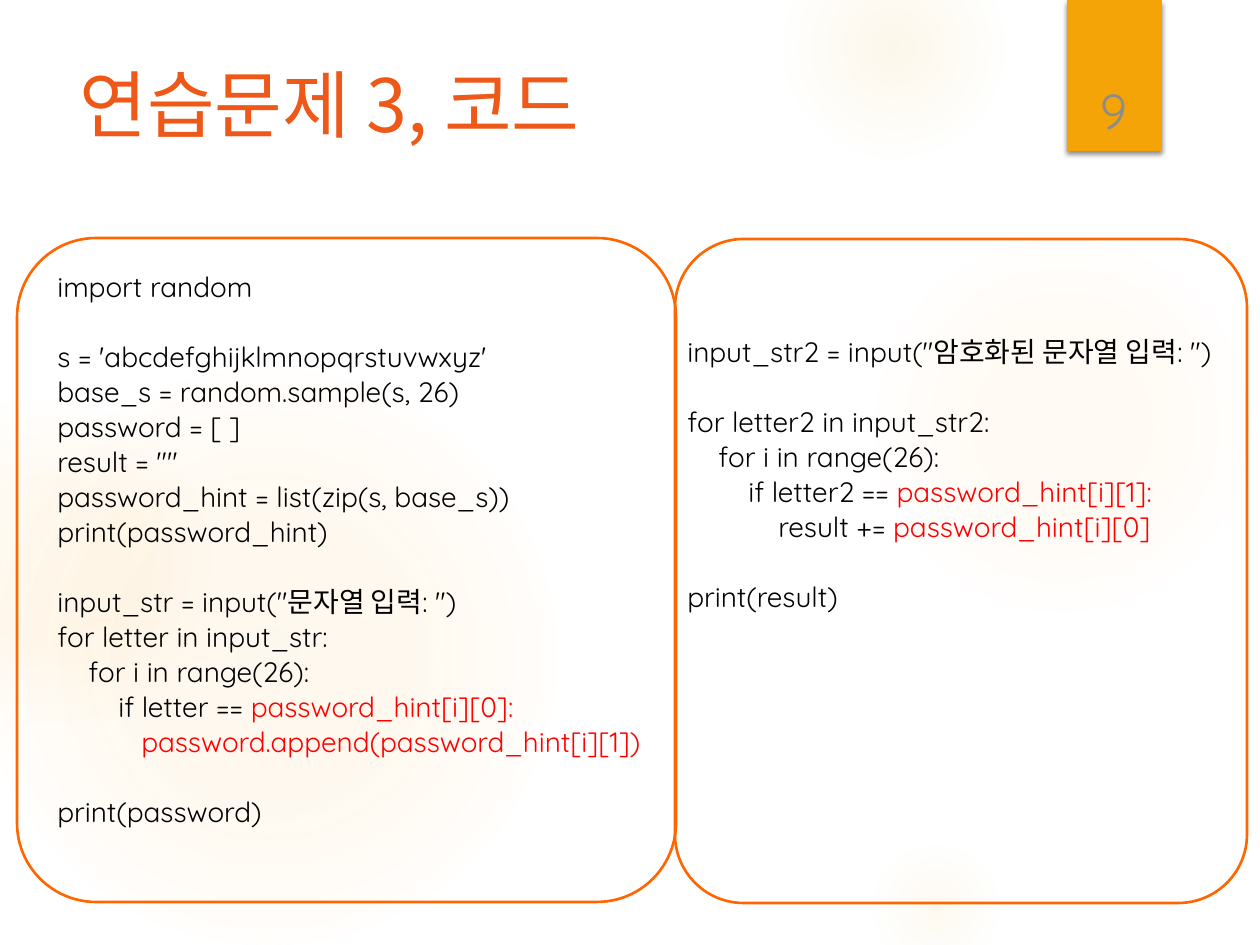
from lxml import etree
from pptx import Presentation
from pptx.dml.color import RGBColor
from pptx.enum import shapes, text
from pptx.oxml import ns
from pptx.util import Pt

PX = 914400 / 126
HUE = {"glow": "FAC96A", "tab": "F5A408", "title": "EE5818", "num": "8C8C8C",
       "frame": "FF6600", "code": "000000", "key": "FF0000"}
KOR, LAT = "Noto Sans CJK KR", "Quicksand"

# left, top, size, then (stop, alpha) pairs in percent
GLOWS = [
    (868, 231, 388, [(0, 7), (36, 6), (69, 0)]),
    (784, -63, 220, [(0, 14), (36, 7), (73, 0)]),
    (868, 840, 136, [(0, 10), (31, 5), (66, 0)]),
    (-21, 368, 577, [(0, 11), (36, 10), (75, 0)]),
    (-116, 399, 325, [(0, 8), (36, 8), (72, 0)]),
]

# blank line above, indent in px, plain part, marked part
ENCODE = [
    (0, 0, "import random", ""),
    (1, 0, "s = 'abcdefghijklmnopqrstuvwxyz'", ""),
    (0, 0, "base_s = random.sample(s, 26)", ""),
    (0, 0, "password = [ ]", ""),
    (0, 0, 'result = ""', ""),
    (0, 0, "password_hint = list(zip(s, base_s))", ""),
    (0, 0, "print(password_hint)", ""),
    (1, 0, 'input_str = input("문자열 입력: ")', ""),
    (0, 0, "for letter in input_str:", ""),
    (0, 31, "for i in range(26):", ""),
    (0, 61, "if letter == ", "password_hint[i][0]:"),
    (0, 84, "", "password.append(password_hint[i][1])"),
    (1, 0, "print(password)", ""),
]
DECODE = [
    (0, 0, 'input_str2 = input("암호화된 문자열 입력: ")', ""),
    (1, 0, "for letter2 in input_str2:", ""),
    (0, 31, "for i in range(26):", ""),
    (0, 61, "if letter2 == ", "password_hint[i][1]:"),
    (0, 91, "result += ", "password_hint[i][0]"),
    (1, 0, "print(result)", ""),
]


def px(n):
    return round(n * PX)


def rgb(name):
    return RGBColor.from_string(HUE[name])


def xml(body):
    return etree.fromstring(body.replace(">", f' {ns.nsdecls("a")}>', 1))


def add_run(para, words, size, font, hue):
    run = para.add_run()
    run.text = words
    run.font.size, run.font.name = Pt(size), font
    run.font.color.rgb = rgb(hue)
    east = etree.SubElement(run._r.get_or_add_rPr(), ns.qn("a:ea"))
    east.set("typeface", KOR)


def add_form(slide, kind, box):
    form = slide.shapes.add_shape(kind, *map(px, box))
    form.shadow.inherit = False
    form.fill.background()
    form.line.fill.background()
    return form


def add_text(slide, box):
    frame = slide.shapes.add_textbox(*map(px, box)).text_frame
    frame.word_wrap = True
    return frame


def draw_glows(slide):
    for left, top, size, stops in GLOWS:
        form = add_form(slide, shapes.MSO_SHAPE.OVAL, (left, top, size, size))
        marks = "".join(
            f'<a:gs pos="{at * 1000}"><a:srgbClr val="{HUE["glow"]}">'
            f'<a:alpha val="{alpha * 1000}"/></a:srgbClr></a:gs>'
            for at, alpha in stops)
        grad = xml(f'<a:gradFill><a:gsLst>{marks}</a:gsLst><a:path path="circle">'
                   '<a:fillToRect l="50000" t="50000" r="50000" b="50000"/>'
                   '</a:path></a:gradFill>')
        props = form._element.spPr
        props.replace(props.find(ns.qn("a:noFill")), grad)


def draw_tab(slide, box):
    left, top, wide, high = box
    form = add_form(slide, shapes.MSO_SHAPE.RECTANGLE, box)
    form.fill.solid()
    form.fill.fore_color.rgb = rgb("tab")
    form._element.spPr.find(ns.qn("a:effectLst")).append(xml(
        '<a:outerShdw blurRad="38100" dist="25400" dir="5400000" rotWithShape="0">'
        '<a:srgbClr val="000000"><a:alpha val="45000"/></a:srgbClr></a:outerShdw>'))
    # Page number
    frame = add_text(slide, (left + 3, top + 40, wide - 8, high - 45))
    frame.vertical_anchor = text.MSO_ANCHOR.BOTTOM
    para = frame.paragraphs[0]
    para.alignment = text.PP_ALIGN.CENTER
    add_run(para, "9", 28, LAT, "num")


def draw_title(slide, box):
    title = slide.shapes.title
    title.left, title.top, title.width, title.height = map(px, box)
    frame = title.text_frame
    frame.auto_size = text.MSO_AUTO_SIZE.NONE
    frame.vertical_anchor = text.MSO_ANCHOR.TOP
    para = frame.paragraphs[0]
    para.alignment = text.PP_ALIGN.LEFT
    para.line_spacing = 0.9
    add_run(para, "연습문제 3, 코드", 42, KOR, "title")


def draw_code(slide, box, inset, lines):
    left, top, wide, high = box
    form = add_form(slide, shapes.MSO_SHAPE.ROUNDED_RECTANGLE, box)
    form.adjustments[0] = 0.12
    form.line.color.rgb = rgb("frame")
    form.line.width = Pt(1.5)
    # Code lines
    dx, dy = inset
    frame = add_text(slide, (left + dx, top + dy, wide + 10 - dx, high - dy))
    for i, (gap, indent, plain, marked) in enumerate(lines):
        para = frame.add_paragraph() if i else frame.paragraphs[0]
        para.line_spacing = Pt(20)
        para.space_before = Pt(20 * gap)
        props = para._p.get_or_add_pPr()
        props.set("marL", str(px(indent)))
        props.set("indent", "0")
        for words, hue in ((plain, "code"), (marked, "key")):
            if words:
                add_run(para, words, 16, LAT, hue)


def main():
    deck = Presentation()
    deck.slide_width, deck.slide_height = px(1260), px(945)
    slide = deck.slides.add_slide(deck.slide_layouts[5])
    draw_glows(slide)
    draw_tab(slide, (1067, 0, 95, 151))
    draw_title(slide, (67, 63, 973, 193))
    draw_code(slide, (17, 238, 659, 664), (28, 24), ENCODE)
    draw_code(slide, (675, 239, 572, 664), (0, 88), DECODE)
    deck.save("out.pptx")


if __name__ == "__main__":
    main()
